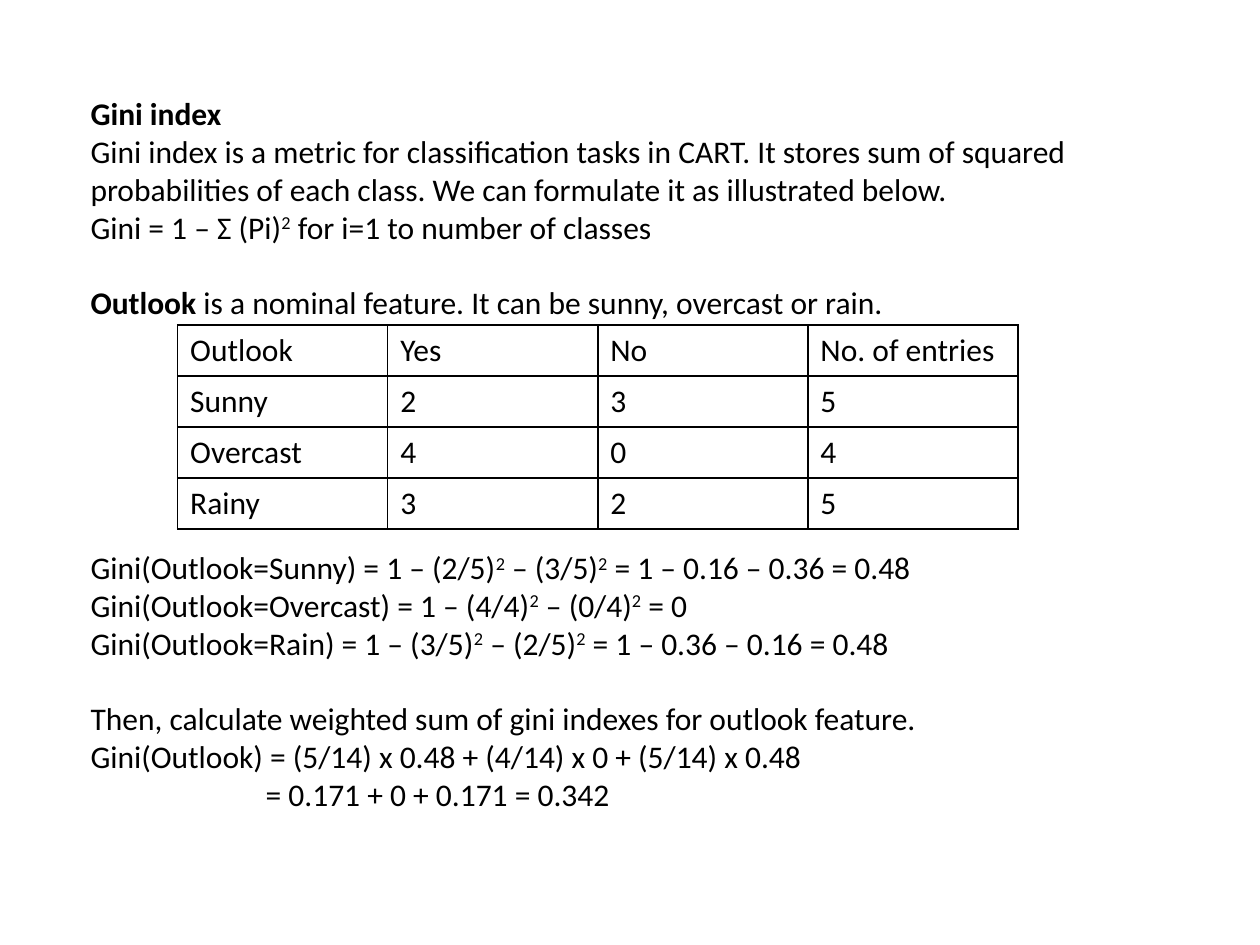
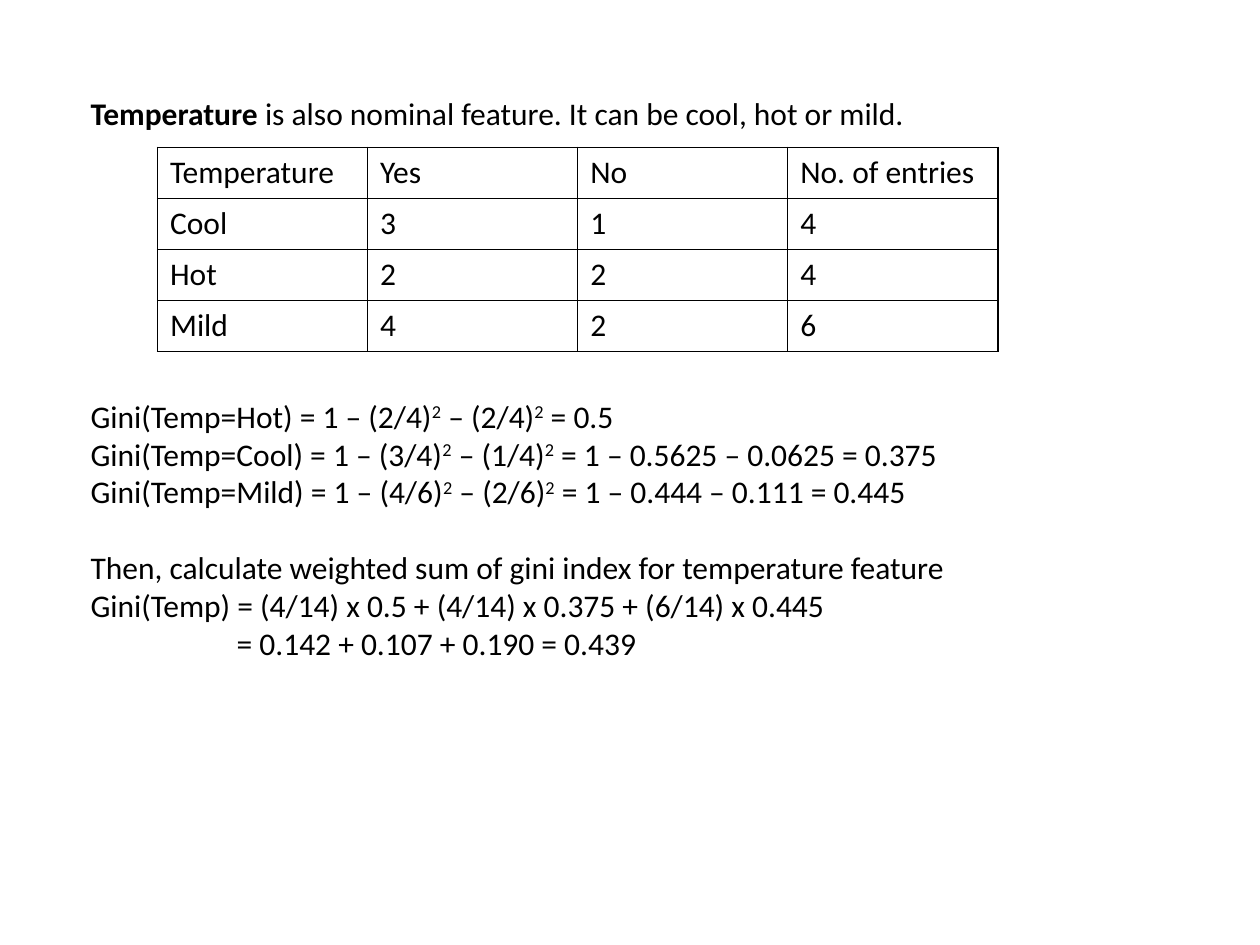
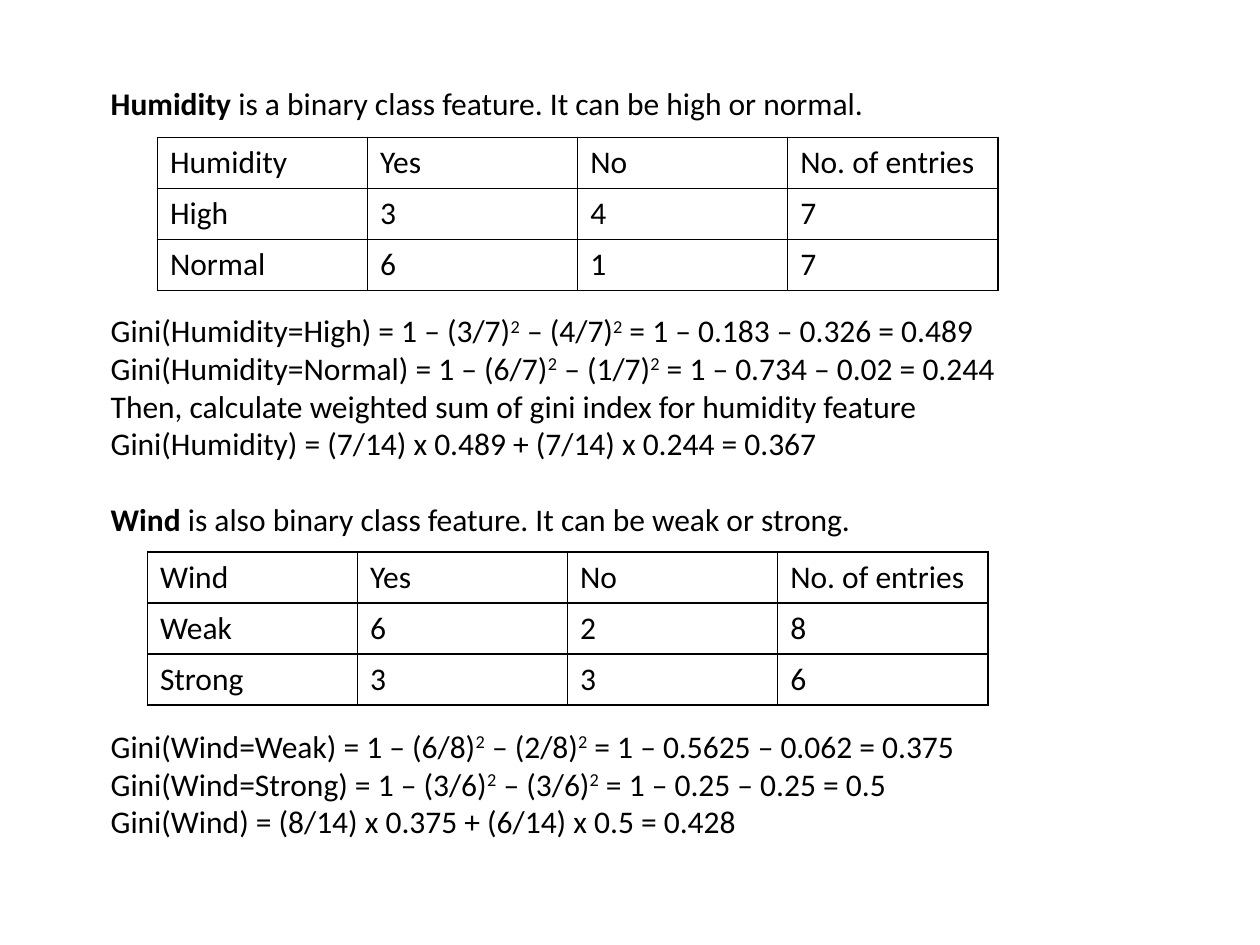
from dataclasses import dataclass

from lxml import etree
from pptx import Presentation
from pptx import util as u
from pptx.dml import color
from pptx.oxml import ns

# Shared look
FONT = "Calibri"
INK = "000000"
TEXT_SIZE = u.Pt(18)
LINE_PITCH = 21.6  # points from one text line to the next
ROW_HEIGHT = u.Inches(1.62) // 4
TABLE_WIDTH = u.Inches(6.67)
COUNT_HEADERS = ("Yes", "No", "No. of entries")


@dataclass
class Line:
    """A paragraph: ^2 marks a raised 2, gap counts free lines above."""
    text: str
    lead: str = ""
    gap: int = 0
    indent: float = 0


def rgb(value):
    return color.RGBColor.from_string(value)


def style_font(font):
    font.name = FONT
    font.size = TEXT_SIZE
    font.color.rgb = rgb(INK)


def add_span(para, text, bold=False, raised=False):
    span = para.add_run()
    span.text = text
    if bold:
        span.font.bold = True
    if raised:
        span._r.get_or_add_rPr().set("baseline", "30000")


def fill_paragraph(para, line):
    style_font(para.font)
    para.space_before = u.Pt(line.gap * LINE_PITCH)
    if line.indent:
        para._p.get_or_add_pPr().set("marL", str(u.Inches(line.indent)))
    if line.lead:
        add_span(para, line.lead, bold=True)
    for index, part in enumerate(line.text.split("^2")):
        if index:
            add_span(para, "2", raised=True)
        if part:
            add_span(para, part)


def add_notes_box(page, left, top, width, height, lines):
    box = page.shapes.add_textbox(*map(u.Inches, (left, top, width, height)))
    frame = box.text_frame
    frame.word_wrap = True
    for index, line in enumerate(lines):
        para = frame.add_paragraph() if index else frame.paragraphs[0]
        fill_paragraph(para, line)


def outline_cell(cell):
    properties = cell._tc.get_or_add_tcPr()
    for side in ("lnL", "lnR", "lnT", "lnB"):
        border = etree.SubElement(properties, ns.qn(f"a:{side}"), w=str(u.Pt(1)))
        solid = etree.SubElement(border, ns.qn("a:solidFill"))
        etree.SubElement(solid, ns.qn("a:srgbClr"), val=INK)
    cell.fill.background()


def add_count_table(page, left, top, feature, counts):
    """Yes and No counts per value; the last column is their sum."""
    rows = [(feature, *COUNT_HEADERS)]
    rows += [(value, yes, no, yes + no) for value, yes, no in counts]
    table = page.shapes.add_table(
        len(rows), len(rows[0]), u.Inches(left), u.Inches(top),
        TABLE_WIDTH, ROW_HEIGHT * len(rows)).table
    table.first_row = table.horz_banding = False
    for row, values in enumerate(rows):
        for column, value in enumerate(values):
            cell = table.cell(row, column)
            cell.text = str(value)
            para = cell.text_frame.paragraphs[0]
            style_font(para.font)
            para.font.bold = False
            outline_cell(cell)


def build_outlook(page):
    add_notes_box(page, 0.62, 0.7, 8.59, 6.16, [
        Line("", lead="Gini index"),
        Line("Gini index is a metric for classification tasks in CART. It stores sum "
             "of squared probabilities of each class. We can formulate it as "
             "illustrated below."),
        Line("Gini = 1 – Σ (Pi)^2 for i=1 to number of classes"),
        Line("is a nominal feature. It can be sunny, overcast or rain.",
             lead="Outlook ", gap=1),
        Line("Gini(Outlook=Sunny) = 1 – (2/5)^2 – (3/5)^2 = 1 – 0.16 – 0.36 = 0.48", gap=6),
        Line("Gini(Outlook=Overcast) = 1 – (4/4)^2 – (0/4)^2 = 0"),
        Line("Gini(Outlook=Rain) = 1 – (3/5)^2 – (2/5)^2 = 1 – 0.36 – 0.16 = 0.48"),
        Line("Then, calculate weighted sum of gini indexes for outlook feature.", gap=1),
        Line("Gini(Outlook) = (5/14) x 0.48 + (4/14) x 0 + (5/14) x 0.48"),
        Line("= 0.171 + 0 + 0.171 = 0.342", indent=1.39),
    ])
    add_count_table(page, 1.41, 2.58, "Outlook",
                    [("Sunny", 2, 3), ("Overcast", 4, 0), ("Rainy", 3, 2)])


def build_temperature(page):
    add_notes_box(page, 0.62, 0.7, 8.59, 5.25, [
        Line("is also nominal feature. It can be cool, hot or mild.", lead="Temperature "),
        Line("Gini(Temp=Hot) = 1 – (2/4)^2 – (2/4)^2 = 0.5", gap=7),
        Line("Gini(Temp=Cool) = 1 – (3/4)^2 – (1/4)^2 = 1 – 0.5625 – 0.0625 = 0.375"),
        Line("Gini(Temp=Mild) = 1 – (4/6)^2 – (2/6)^2 = 1 – 0.444 – 0.111 = 0.445"),
        Line("Then, calculate weighted sum of gini index for temperature feature", gap=1),
        Line("Gini(Temp) = (4/14) x 0.5 + (4/14) x 0.375 + (6/14) x 0.445"),
        Line("= 0.142 + 0.107 + 0.190 = 0.439", indent=1.16),
    ])
    add_count_table(page, 1.25, 1.17, "Temperature",
                    [("Cool", 3, 1), ("Hot", 2, 2), ("Mild", 4, 2)])


def build_humidity_and_wind(page):
    add_notes_box(page, 0.78, 0.62, 8.52, 6.8, [
        Line("is a binary class feature. It can be high or normal.", lead="Humidity "),
        Line("Gini(Humidity=High) = 1 – (3/7)^2 – (4/7)^2 = 1 – 0.183 – 0.326 = 0.489", gap=5),
        Line("Gini(Humidity=Normal) = 1 – (6/7)^2 – (1/7)^2 = 1 – 0.734 – 0.02 = 0.244"),
        Line("Then, calculate weighted sum of gini index for humidity feature"),
        Line("Gini(Humidity) = (7/14) x 0.489 + (7/14) x 0.244 = 0.367"),
        Line("is also binary class feature. It can be weak or strong.", lead="Wind ", gap=1),
        Line("Gini(Wind=Weak) = 1 – (6/8)^2 – (2/8)^2 = 1 – 0.5625 – 0.062 = 0.375", gap=5),
        Line("Gini(Wind=Strong) = 1 – (3/6)^2 – (3/6)^2 = 1 – 0.25 – 0.25 = 0.5"),
        Line("Gini(Wind) = (8/14) x 0.375 + (6/14) x 0.5 = 0.428"),
    ])
    add_count_table(page, 1.25, 1.09, "Humidity", [("High", 3, 4), ("Normal", 6, 1)])
    add_count_table(page, 1.17, 4.38, "Wind", [("Weak", 6, 2), ("Strong", 3, 3)])


def main():
    deck = Presentation()
    deck.slide_width, deck.slide_height = u.Inches(10), u.Inches(7.5)
    blank = deck.slide_layouts[6]
    for build in (build_outlook, build_temperature, build_humidity_and_wind):
        build(deck.slides.add_slide(blank))
    deck.save("out.pptx")


if __name__ == "__main__":
    main()
